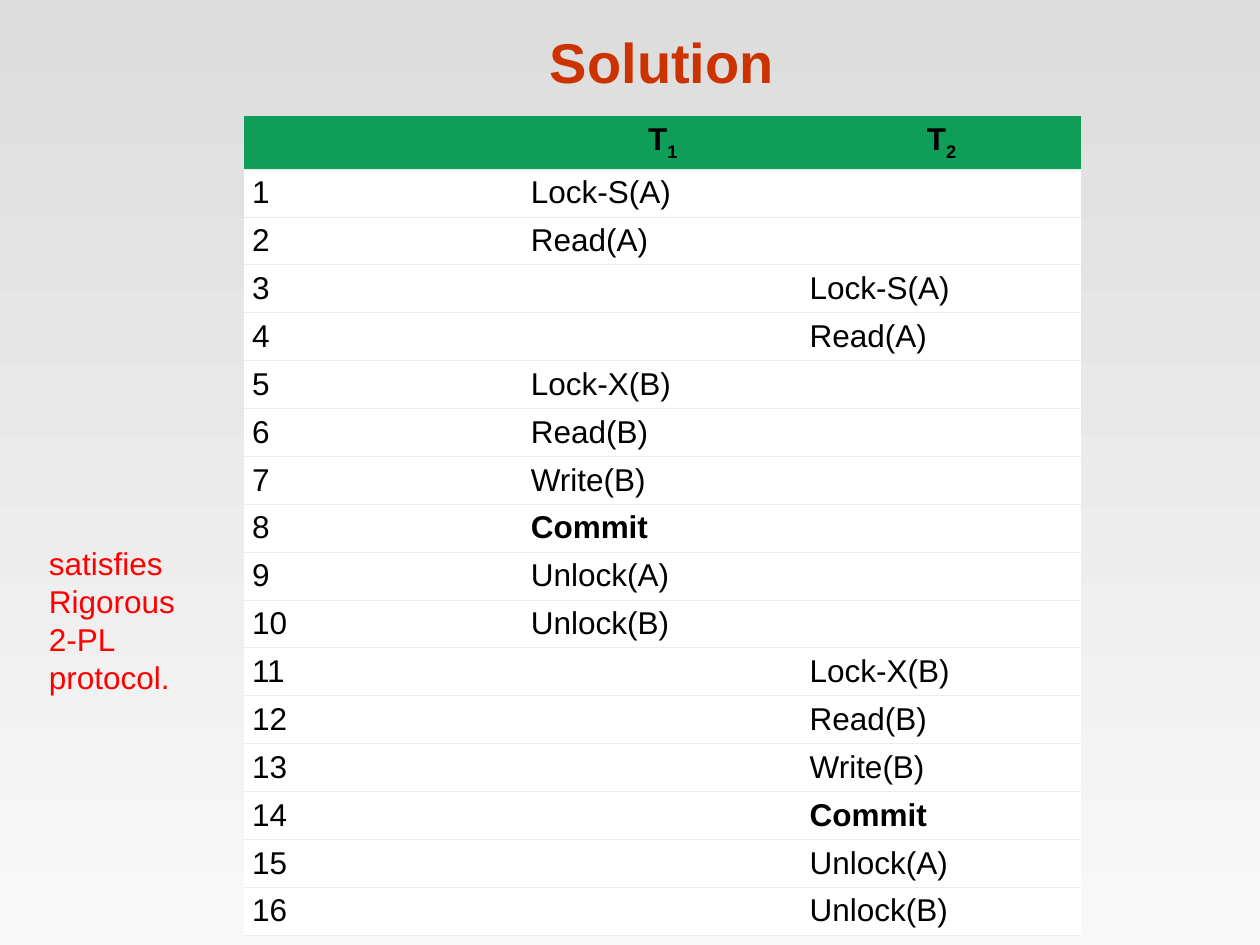
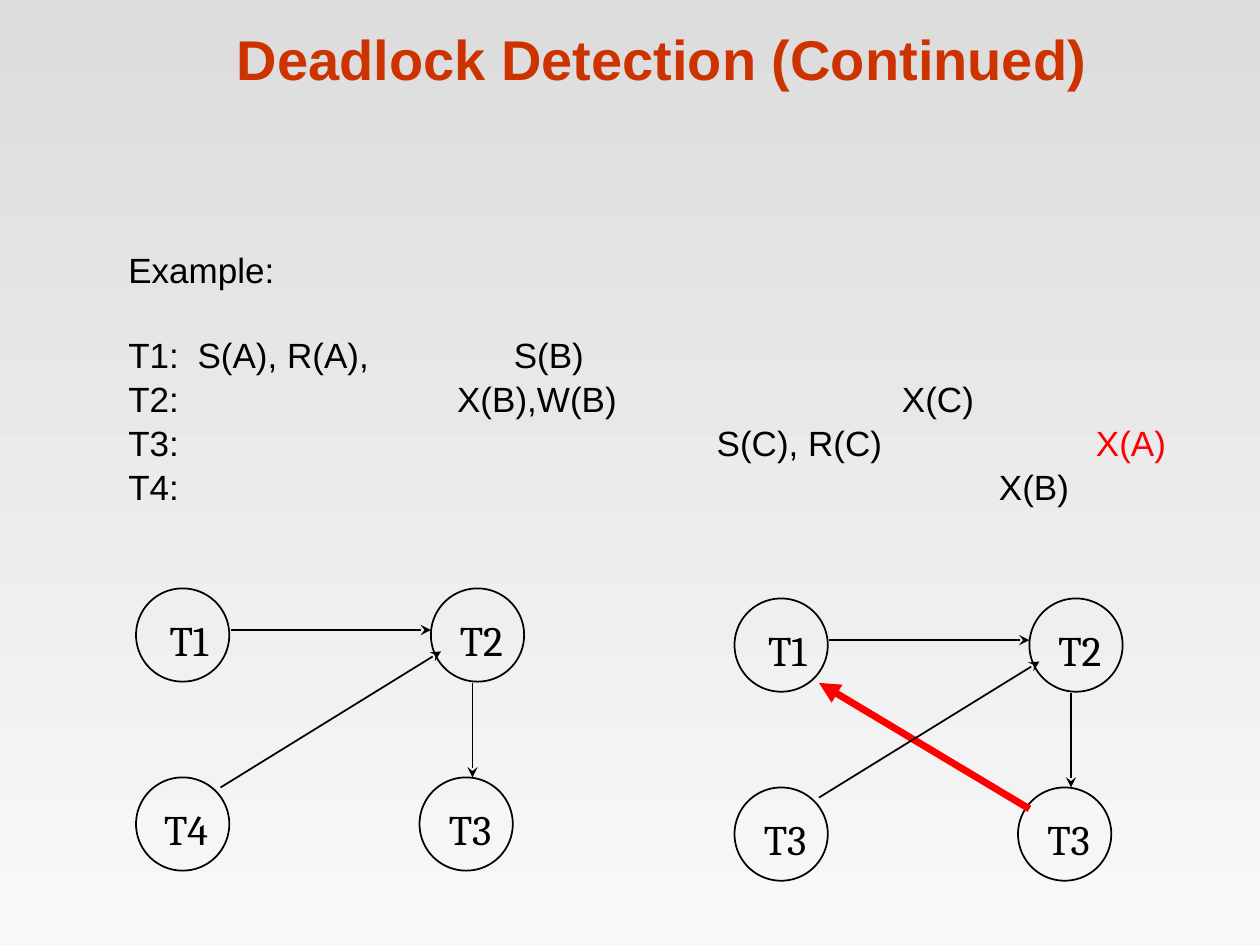
from lxml.etree import SubElement
from pptx import Presentation
from pptx.dml.color import RGBColor
from pptx.enum.shapes import MSO_CONNECTOR, MSO_SHAPE
from pptx.enum.text import MSO_ANCHOR, PP_ALIGN
from pptx.oxml.ns import qn
from pptx.util import Inches, Pt

# Content
STEPS = [  # (transaction, action), numbered in order
    (1, "Lock-S(A)"), (1, "Read(A)"), (2, "Lock-S(A)"), (2, "Read(A)"),
    (1, "Lock-X(B)"), (1, "Read(B)"), (1, "Write(B)"), (1, "Commit"),
    (1, "Unlock(A)"), (1, "Unlock(B)"), (2, "Lock-X(B)"), (2, "Read(B)"),
    (2, "Write(B)"), (2, "Commit"), (2, "Unlock(A)"), (2, "Unlock(B)"),
]
NOTE = "satisfies Rigorous 2-PL protocol."
TRACE = [  # (transaction, [(tab stop, locks)])
    ("T1:", [(0.55, "S(A), R(A),"), (3.06, "S(B)")]),
    ("T2:", [(2.61, "X(B),W(B)"), (6.14, "X(C)")]),
    ("T3:", [(4.67, "S(C), R(C)"), (7.68, "X(A)")]),
    ("T4:", [(6.91, "X(B)")]),
]
CYCLE = "X(A)"
SPOTS = [(0, 0), (2.34, 0), (0, 1.5), (2.25, 1.5)]
WAITS = [
    ((0.75, 0.33), (2.34, 0.33)),
    ((2.67, 0.75), (2.67, 1.5)),
    ((0.67, 1.58), (2.42, 0.5)),
]
CLOSE = ((2.34, 1.67), (0.67, 0.67))
GRAPHS = [  # (origin, node names, closes a cycle)
    ((1.08, 4.67), ("T1", "T2", "T4", "T3"), False),
    ((5.83, 4.75), ("T1", "T2", "T3", "T3"), True),
]

# Style
INK, RED, GREEN, WHITE, RULE = "000000", "FF0000", "0F9D58", "FFFFFF", "EDEDED"
SHADES = ("DDDDDD", "F8F8F8")
HEAD = {"size": 32, "bold": True, "color": "CC3300"}
BODY = {"size": 18}
LIST = {"size": 20}
NODE = {"size": 24, "name": "Cambria"}
DISC = 0.74
NO_STYLE = "{2D5ABB26-0587-4C30-8999-92F81FD0307C}"


def rgb(code):
    return RGBColor.from_string(code)


def put(para, text, style):
    """Add a run with the given format values."""
    run = para.add_run()
    run.text = text
    for key, val in {"name": "Arial", "color": INK, **style}.items():
        if key == "color":
            run.font.color.rgb = rgb(val)
        else:
            setattr(run.font, key, Pt(val) if key == "size" else val)
    return run


def box(slide, area, wrap=True, anchor=MSO_ANCHOR.TOP):
    frame = slide.shapes.add_textbox(*map(Inches, area)).text_frame
    frame.word_wrap, frame.vertical_anchor = wrap, anchor
    return frame


def start(deck, title, anchor):
    """Add a slide with the shared title."""
    slide = deck.slides.add_slide(deck.slide_layouts[6])
    para = box(slide, (0.84, 0.13, 8.83, 0.67), anchor=anchor).paragraphs[0]
    para.alignment = PP_ALIGN.CENTER
    put(para, title, HEAD)
    return slide


def paint(cell, color, side, rise):
    """Fill a cell, rule its foot and set its margins."""
    cell.fill.solid()
    cell.fill.fore_color.rgb = rgb(color)
    cell.vertical_anchor = MSO_ANCHOR.MIDDLE
    cell.margin_left = cell.margin_right = Inches(side)
    cell.margin_top = cell.margin_bottom = Inches(rise)
    props = cell._tc.get_or_add_tcPr()
    line = SubElement(props, qn("a:lnB"), w=str(Pt(0.34)))
    SubElement(SubElement(line, qn("a:solidFill")), qn("a:srgbClr"), val=RULE)
    props.insert(0, line)


def plan(slide):
    """Draw the schedule table."""
    count = len(STEPS) + 1
    shape = slide.shapes.add_table(
        count, 3, *map(Inches, (1.94, 0.92, 6.64, 0.42 + 0.38 * len(STEPS))))
    next(shape._element.iter(qn("a:tableStyleId"))).text = NO_STYLE
    table = shape.table
    for col in table.columns:
        col.width = Inches(6.64 / 3)
    for num, row in enumerate(table.rows):
        row.height = Inches(0.38 if num else 0.42)
        for col, cell in enumerate(row.cells):
            para = cell.text_frame.paragraphs[0]
            if num == 0:
                paint(cell, GREEN, 0.04, 0.04 if col else 0)
                if col:
                    para.alignment = PP_ALIGN.CENTER
                    put(para, "T", {**BODY, "bold": True})
                    sub = put(para, str(col), {**BODY, "bold": True})
                    sub.font._element.set("baseline", "-25000")
                continue
            who, act = STEPS[num - 1]
            text = {0: str(num), who: act}.get(col)
            paint(cell, WHITE, 0.06, 0.04 if text else 0)
            if text:
                put(para, text, {**BODY, "bold": text == "Commit"})


def trace(slide):
    """List the locks of each transaction along a time axis of tab stops."""
    frame = box(slide, (0.92, 1.92, 8.5, 2.5))
    para = frame.paragraphs[0]
    para.space_before = Pt(1)
    put(para, "Example:", LIST)
    for num, (name, locks) in enumerate(TRACE):
        para = frame.add_paragraph()
        para.space_before = Pt(1 if num else 25)
        stops = SubElement(para._p.get_or_add_pPr(), qn("a:tabLst"))
        put(para, name, LIST)
        for pos, lock in locks:
            SubElement(stops, qn("a:tab"), pos=str(Inches(pos)), algn="l")
            put(para, "\t" + lock, {**LIST, "color": RED if lock == CYCLE else INK})


def arrow(slide, home, ends, color=INK, width=1, tip="stealth"):
    spots = [Inches(a + b) for end in ends for a, b in zip(home, end)]
    line = slide.shapes.add_connector(MSO_CONNECTOR.STRAIGHT, *spots)
    line.line.color.rgb = rgb(color)
    line.line.width = Pt(width)
    SubElement(line.line._get_or_add_ln(), qn("a:tailEnd"), type=tip)
    SubElement(line._element.spPr, qn("a:effectLst"))


def graph(slide, home, names, closed):
    """Draw a waits-for graph."""
    spots = [(home[0] + x, home[1] + y) for x, y in SPOTS]
    for x, y in spots:
        disc = slide.shapes.add_shape(
            MSO_SHAPE.OVAL, *map(Inches, (x, y, DISC, DISC)))
        disc.shadow.inherit = False
        disc.fill.background()
        disc.line.color.rgb = rgb(INK)
        disc.line.width = Pt(1)
    for (x, y), name in zip(spots, names):
        para = box(slide, (x + 0.08, y + 0.16, 0.59, 0.5), False).paragraphs[0]
        para.alignment = PP_ALIGN.RIGHT
        put(para, name, NODE)
    if closed:
        arrow(slide, home, CLOSE, RED, 4, "triangle")
    for ends in WAITS:
        arrow(slide, home, ends)


def main():
    deck = Presentation()
    deck.slide_width, deck.slide_height = Inches(10), Inches(7.5)
    fill = deck.slide_master.background.fill
    fill.gradient()
    fill.gradient_angle = 270
    for stop, shade in zip(fill.gradient_stops, SHADES):
        stop.color.rgb = rgb(shade)

    slide = start(deck, "Solution", MSO_ANCHOR.BOTTOM)
    plan(slide)
    put(box(slide, (0.29, 4.27, 1.48, 1.3)).paragraphs[0], NOTE,
        {**BODY, "color": RED})

    slide = start(deck, "Deadlock Detection (Continued)", MSO_ANCHOR.MIDDLE)
    trace(slide)
    for home, names, closed in GRAPHS:
        graph(slide, home, names, closed)
    deck.save("out.pptx")


if __name__ == "__main__":
    main()
